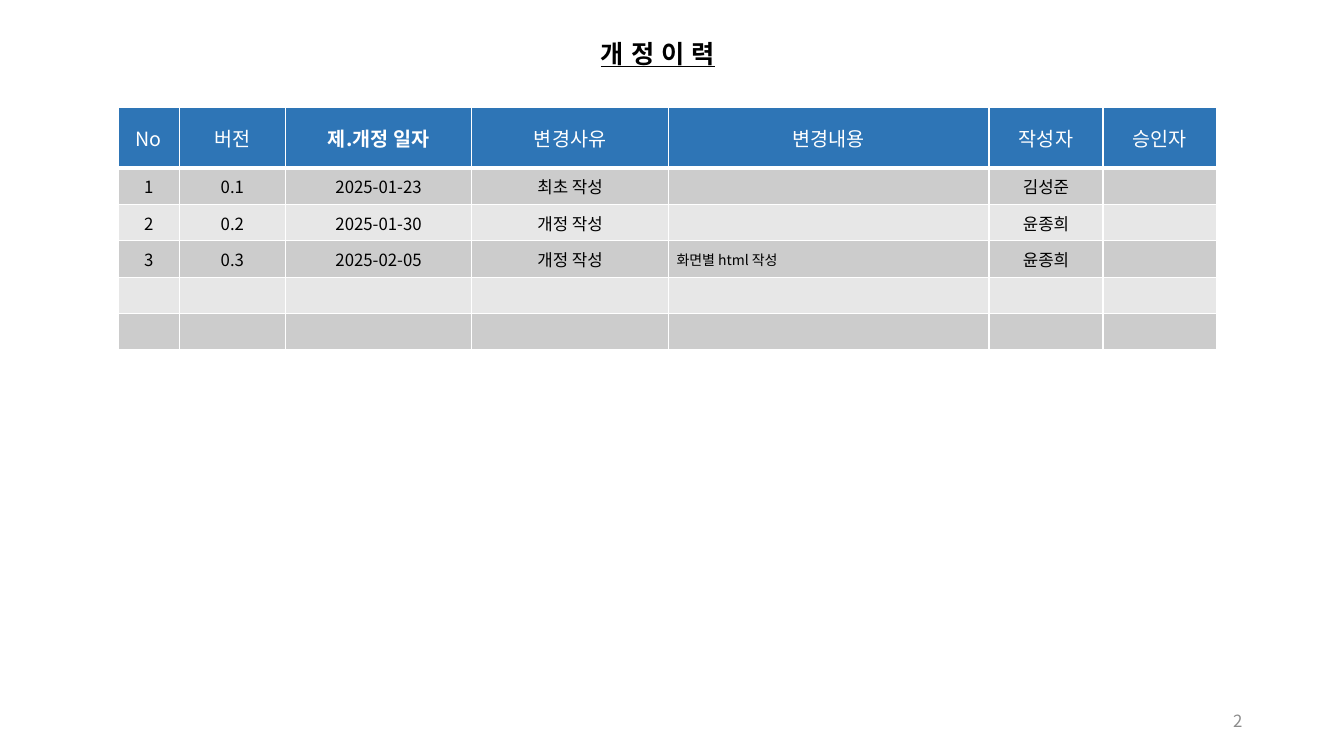
from lxml.etree import SubElement
from pptx import Presentation
from pptx.dml.color import RGBColor
from pptx.enum.text import MSO_ANCHOR as Anchor, MSO_AUTO_SIZE as AutoSize, PP_ALIGN as Align
from pptx.oxml import parse_xml
from pptx.oxml.ns import nsdecls, qn
from pptx.util import Emu, Pt

EMU_PER_PX = 9144  # 100 px to the inch
COLORS = {"header": "2E75B6", "odd": "CCCCCC", "even": "E7E7E7",
          "white": "FFFFFF", "black": "000000", "number": "8C8C8C"}
BODY_FONT, TITLE_FONT = "Noto Sans CJK KR", "Arial"


def px(count):
    return Emu(count * EMU_PER_PX)


class Page:
    """Holds the style and the current slide."""

    def __init__(self, deck):
        self.slide = deck.slides.add_slide(deck.slide_layouts[5])

    def span(self, para, text, size, color, font=BODY_FONT, bold=False, underline=False):
        run = para.add_run()
        run.text = text
        style = run.font
        style.size, style.name, style.bold, style.underline = Pt(size), font, bold, underline
        style.color.rgb = RGBColor.from_string(COLORS[color])
        SubElement(run._r.get_or_add_rPr(), qn("a:ea")).set("typeface", font)

    def title(self, text, left, top, width, height):
        box = self.slide.shapes.title
        box.left, box.top, box.width, box.height = map(px, (left, top, width, height))
        frame = box.text_frame
        frame.word_wrap, frame.auto_size = True, AutoSize.NONE
        frame.vertical_anchor = Anchor.TOP
        frame.margin_left = frame.margin_right = px(7)
        frame.margin_top = frame.margin_bottom = px(4)
        para = frame.paragraphs[0]
        para.alignment, para.line_spacing = Align.LEFT, 1.0
        self.span(para, text, 18, "black", TITLE_FONT, bold=True, underline=True)

    def number(self, text, left, top, width, height):
        box = self.slide.shapes.add_textbox(*map(px, (left, top, width, height)))
        frame = box.text_frame
        frame.word_wrap, frame.vertical_anchor = True, Anchor.MIDDLE
        para = frame.paragraphs[0]
        para.alignment = Align.RIGHT
        self.span(para, text, 12, "number")

    def cell(self, cell, text, fill, size, color, bold=False, align=Align.CENTER, bottom=1):
        cell.fill.solid()
        cell.fill.fore_color.rgb = RGBColor.from_string(COLORS[fill])
        cell.vertical_anchor = Anchor.MIDDLE
        cell.margin_left = cell.margin_right = px(8)
        cell.margin_top = cell.margin_bottom = px(4)
        para = cell.text_frame.paragraphs[0]
        para.alignment = align
        if text:
            self.span(para, text, size, color, bold=bold)
        else:  # keeps an empty row at its set height
            SubElement(para._p, qn("a:endParaRPr")).set("sz", str(size * 100))
        # Borders come before the fill
        properties = cell._tc.get_or_add_tcPr()
        for place, (side, points) in enumerate(zip("LRTB", (1, 1, 1, bottom))):
            properties.insert(place, parse_xml(
                f'<a:ln{side} {nsdecls("a")} w="{Pt(points)}"><a:solidFill>'
                f'<a:srgbClr val="{COLORS["white"]}"/></a:solidFill></a:ln{side}>'))

    def table(self, left, top, widths, heights):
        frame = self.slide.shapes.add_table(
            len(heights), len(widths), px(left), px(top), px(sum(widths)), px(sum(heights)))
        table = frame.table
        for column, width in zip(table.columns, widths):
            column.width = px(width)
        for row, height in zip(table.rows, heights):
            row.height = px(height)
        return table


HEADERS = ["No", "버전", "제.개정 일자", "변경사유", "변경내용", "작성자", "승인자"]
DATE, CONTENT = 2, 4
REVISIONS = [
    ["1", "0.1", "2025-01-23", "최초 작성", "", "김성준", ""],
    ["2", "0.2", "2025-01-30", "개정 작성", "", "윤종희", ""],
    ["3", "0.3", "2025-02-05", "개정 작성", "화면별 html 작성", "윤종희", ""],
    [""] * len(HEADERS),
    [""] * len(HEADERS),
]


def main():
    deck = Presentation()
    deck.slide_width, deck.slide_height = px(1333), px(750)
    page = Page(deck)

    # Title and page number
    page.title("개 정 이 력", 589, 34, 143, 38)
    page.number("2", 942, 695, 300, 40)

    # Revision history
    table = page.table(117, 107, [61, 105, 185, 195, 318, 113, 113],
                       [60] + [36] * len(REVISIONS))
    for column, text in enumerate(HEADERS):
        page.cell(table.cell(0, column), text, "header", 14, "white",
                  bold=column == DATE, bottom=3)
    for row, revision in enumerate(REVISIONS, 1):
        fill = "odd" if row % 2 else "even"
        for column, text in enumerate(revision):
            is_content = column == CONTENT
            page.cell(table.cell(row, column), text, fill, 10 if is_content else 12, "black",
                      align=Align.LEFT if is_content else Align.CENTER)

    deck.save("out.pptx")


if __name__ == "__main__":
    main()
